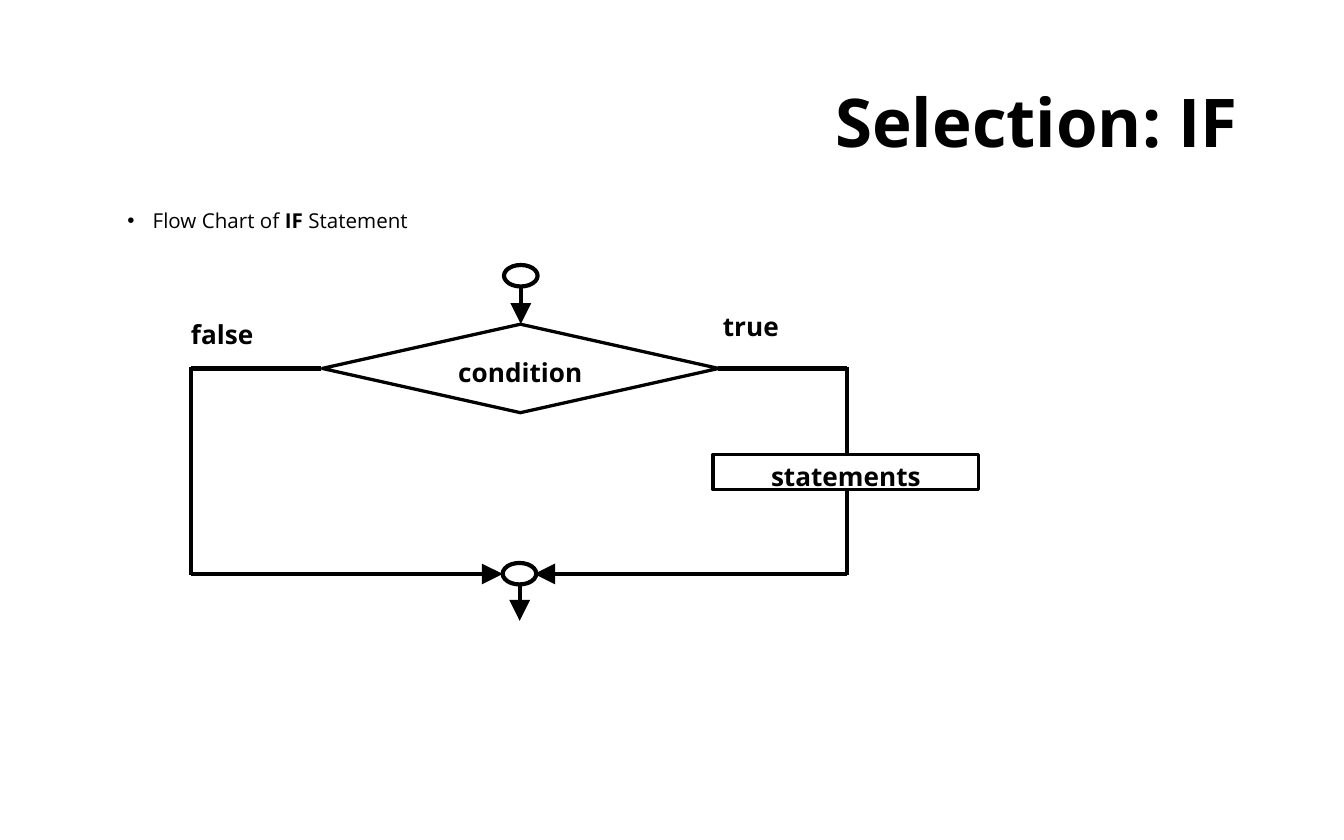
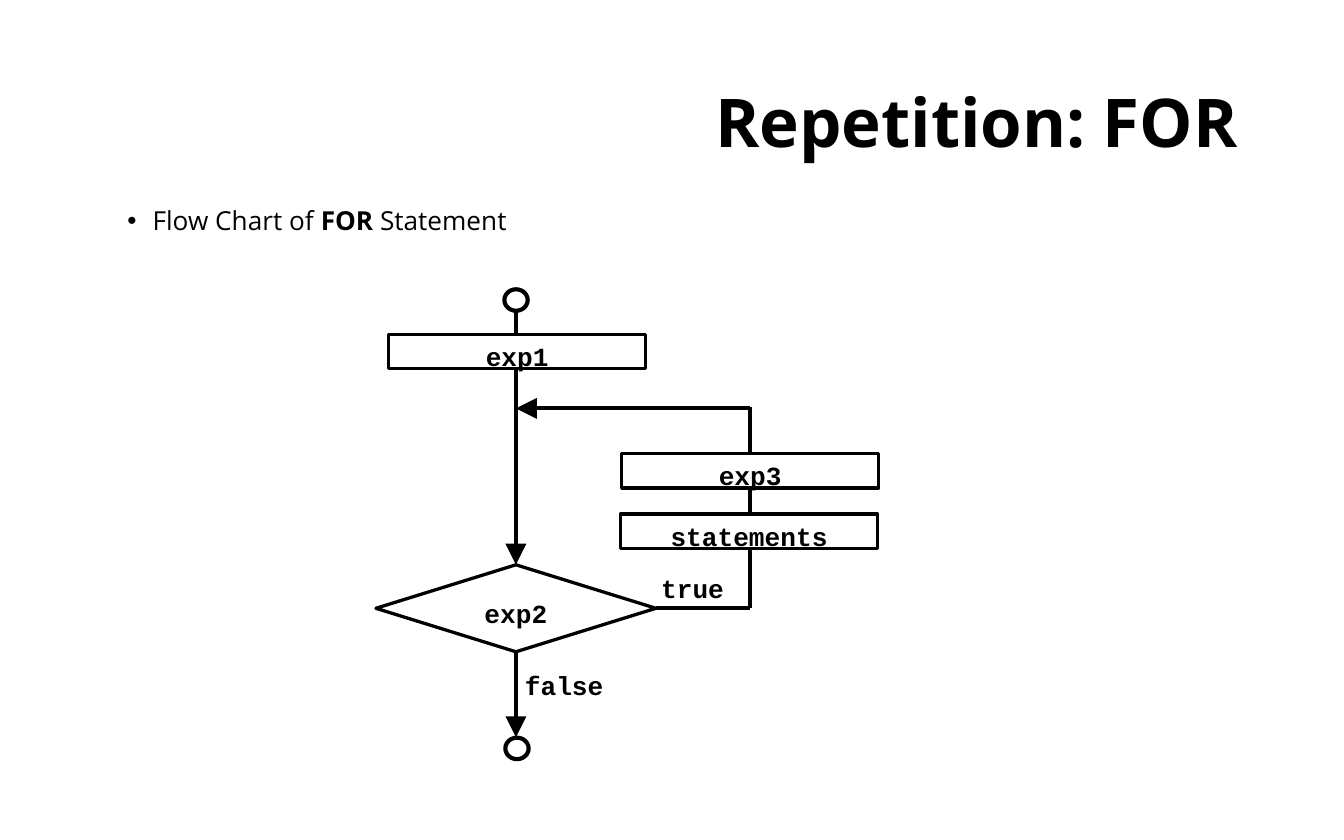
"""Build two flow chart slides: the IF selection and the FOR repetition."""
import pptx
import pptx.dml.color
import pptx.enum.shapes
import pptx.enum.text
import pptx.oxml
import pptx.oxml.ns
import pptx.util

Pt = pptx.util.Pt
Shape = pptx.enum.shapes.MSO_SHAPE
Align = pptx.enum.text.PP_ALIGN
Anchor = pptx.enum.text.MSO_ANCHOR

INK = "000000"
PAPER = "FFFFFF"
SANS = "Open Sans"
MONO = "Courier New"
LINE_WIDTH = 2.25
NODE_WIDTH = 1.75
TITLE_BOX = (157.7, 23.8, 512.6, 87.1)
BODY_BOX = (61.2, 109.4, 637.2, 296.6)


def color(code):
    """Turn a hex string into a colour."""
    return pptx.dml.color.RGBColor.from_string(code)


def add_xml(parent, tag, **attributes):
    """Append a drawing element with attributes to a parent element."""
    child = pptx.oxml.parse_xml(f"<a:{tag} {pptx.oxml.ns.nsdecls('a')}/>")
    for name, value in attributes.items():
        child.set(name, str(value))
    parent.append(child)
    return child


def add_text(page, text, area, font=SANS, size=14, align=Align.LEFT, anchor=Anchor.TOP,
             spacing=None, before=None, inset=(0, 0), bold=True, strong=None):
    """Add a text box; the words in strong stand out in bold."""
    box = page.shapes.add_textbox(*map(Pt, area))
    frame = box.text_frame
    frame.word_wrap = True
    frame.vertical_anchor = anchor
    frame.margin_left = frame.margin_right = Pt(inset[0])
    frame.margin_top = frame.margin_bottom = Pt(inset[1])
    para = frame.paragraphs[0]
    para.alignment = align
    para.line_spacing = spacing
    para.space_before = None if before is None else Pt(before)
    start, match, end = text.partition(strong) if strong else (text, "", "")
    for words, heavy in ((start, bold), (match, True), (end, bold)):
        if words:
            span = para.add_run()
            span.text = words
            span.font.name = font
            span.font.size = Pt(size)
            span.font.bold = heavy
            span.font.color.rgb = color(INK)
    return para


def add_heading(page, title, topic, strong, size, spacing):
    """Add the slide title and its bulleted topic line."""
    add_text(page, title, TITLE_BOX, size=36, align=Align.RIGHT, anchor=Anchor.MIDDLE,
             spacing=0.9, inset=(7.2, 3.6))
    para = add_text(page, topic, BODY_BOX, size=size, align=Align.JUSTIFY, spacing=spacing,
                    before=7.5, inset=(7.2, 3.6), bold=False, strong=strong)
    properties = para._p.get_or_add_pPr()
    properties.set("marL", str(Pt(13.5)))
    properties.set("indent", str(Pt(-13.5)))
    add_xml(properties, "buFont", typeface="Arial")
    add_xml(properties, "buChar", char="•")


def add_outline(page, kind, area, width, fill=None):
    """Add a preset shape with a black outline."""
    shape = page.shapes.add_shape(kind, *map(Pt, area))
    shape.shadow.inherit = False
    if fill:
        shape.fill.solid()
        shape.fill.fore_color.rgb = color(fill)
    else:
        shape.fill.background()
    shape.line.color.rgb = color(INK)
    shape.line.width = Pt(width)


def add_terminal(page, left, top, width):
    """Add a start or end circle."""
    add_outline(page, Shape.OVAL, (left, top, width, 11.5), LINE_WIDTH)


def add_node(page, kind, caption, area, drop, font):
    """Add a flow chart node with its caption set drop points below the top."""
    left, top, width, height = area
    add_outline(page, kind, area, NODE_WIDTH, PAPER)
    add_text(page, caption, (left + 19, top + drop, width - 38, 16.5),
             font=font, align=Align.CENTER)


def add_step(page, caption, area, font):
    """Add a rectangular step."""
    add_node(page, Shape.RECTANGLE, caption, area, 3.4, font)


def add_decision(page, caption, area, font):
    """Add a diamond decision."""
    add_node(page, Shape.DIAMOND, caption, area, 17.2, font)


def add_line(page, start, end, arrow=False):
    """Add a straight line, with an arrowhead at its end if asked."""
    line = page.shapes.add_connector(pptx.enum.shapes.MSO_CONNECTOR.STRAIGHT,
                                     *map(Pt, (*start, *end)))
    line.line.color.rgb = color(INK)
    line.line.width = Pt(LINE_WIDTH)
    if arrow:
        add_xml(line.line._get_or_add_ln(), "tailEnd", type="triangle", w="lg", len="lg")
    add_xml(line._element.spPr, "effectLst")


def build_selection(page):
    """Draw the IF flow chart."""
    add_heading(page, "Selection: IF", "Flow Chart of IF Statement", "IF ", 11, 0.9)
    center, left, right = 279, 102.2, 453.6
    branch, join = 197.4, 307.5
    add_line(page, (center, 152.8), (center, 173.6), arrow=True)
    add_terminal(page, 270, 142, 18)
    add_line(page, (center - 0.6, 313), (center - 0.6, 332.6), arrow=True)
    add_terminal(page, 269.3, 301.6, 18)
    add_text(page, "true", (387.3, 166.3, 62.6, 23))
    add_text(page, "false", (102.3, 170.6, 76.3, 23))
    for side, corner, tip in ((left, 172.2, 269.3), (right, 384.5, 286.2)):
        add_line(page, (corner, branch), (side, branch))
        add_line(page, (side, branch - 0.8), (side, join + 0.8))
        add_line(page, (side, join), (tip, join), arrow=True)
    add_step(page, "statements", (382, 243.4, 142.4, 18.9), SANS)
    add_decision(page, "condition", (172.6, 173.7, 212.4, 47.4), SANS)


def build_repetition(page):
    """Draw the FOR flow chart."""
    add_heading(page, "Repetition: FOR", "Flow Chart of FOR Statement", "FOR", 14, 0.8)
    center, loop = 276.4, 401.6
    back, test = 218.8, 325.8
    add_terminal(page, 270.7, 395.2, 12.5)
    add_line(page, (center, 166.5), (center, 302.5), arrow=True)
    add_terminal(page, 270.2, 155, 12.5)
    add_text(page, "true", (354.2, 306.5, 44.6, 22.3), font=MONO)
    add_line(page, (center, 349.5), (center, 395), arrow=True)
    add_text(page, "false", (281.2, 358.5, 54, 22.3), font=MONO)
    add_line(page, (351.4, test), (loop, test))
    add_line(page, (loop, test), (loop, back - 0.8))
    add_line(page, (loop, back), (center, back), arrow=True)
    add_decision(page, "exp2", (201.4, 302.6, 150, 46.6), MONO)
    for caption, left, top in (("statements", 332.4, 275.4), ("exp3", 333, 242.9),
                               ("exp1", 208.2, 179)):
        add_step(page, caption, (left, top, 137.8, 18.5), MONO)


def main():
    """Build and save the deck."""
    deck = pptx.Presentation()
    deck.slide_width = Pt(720)
    deck.slide_height = Pt(450)
    for build in (build_selection, build_repetition):
        build(deck.slides.add_slide(deck.slide_layouts[6]))
    deck.save("out.pptx")


if __name__ == "__main__":
    main()
